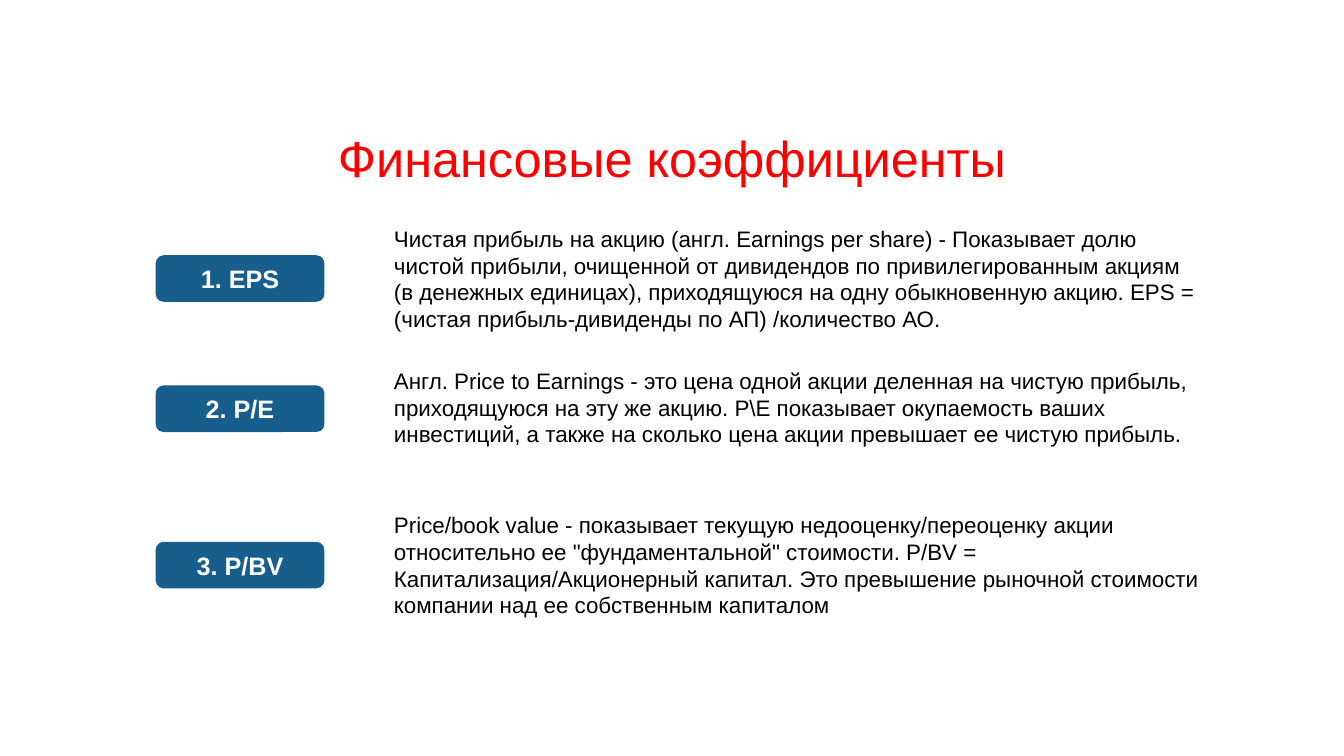
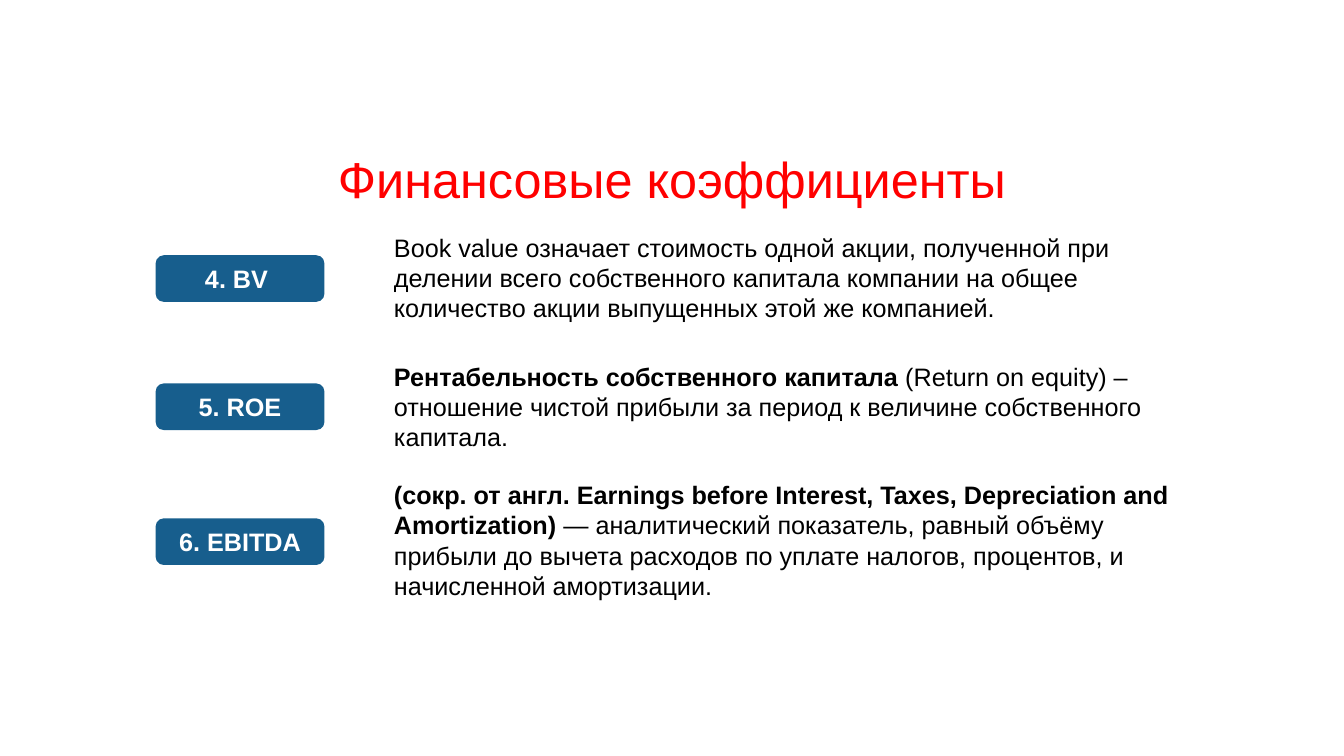
from dataclasses import dataclass

import pptx
import pptx.dml.color
import pptx.enum.shapes
import pptx.enum.text
import pptx.util
from pptx.util import Cm

FONT = "Arial"
RED, BLUE, WHITE, BLACK = "FF0000", "175E8D", "FFFFFF", "000000"
TITLE_ONLY = 5
HEADING = "Финансовые коэффициенты"

# Columns shared by all rows, in centimetres
BADGE_LEFT, BADGE_WIDTH, BADGE_HEIGHT = 3.94, 4.22, 1.14
TEXT_LEFT, TEXT_WIDTH = 9.68, 20.85
INSET = 0.13


@dataclass(frozen=True)
class Ratio:
    label: str
    badge_top: float
    text_top: float
    text_height: float
    definition: str
    term: str = ""  # bold opening of the definition


@dataclass(frozen=True)
class Page:
    title_top: float
    text_size: int
    ratios: tuple[Ratio, ...]


PAGES = (
    Page(3.25, 16, (
        Ratio("1. EPS", 6.45, 5.54, 3.0,
              "Чистая прибыль на акцию (англ. Earnings per share) - Показывает долю "
              "чистой прибыли, очищенной от дивидендов по привилегированным акциям "
              "(в денежных единицах), приходящуюся на одну обыкновенную акцию. EPS = "
              "(чистая прибыль-дивиденды по АП) /количество АО."),
        Ratio("2. P/E", 9.73, 9.12, 2.31,
              "Англ. Price to Earnings - это цена одной акции деленная на чистую прибыль, "
              "приходящуюся на эту же акцию. Р\\Е показывает окупаемость ваших "
              "инвестиций, а также на сколько цена акции превышает ее чистую прибыль."),
        Ratio("3. P/BV", 13.67, 12.75, 3.0,
              "Price/book value - показывает текущую недооценку/переоценку акции "
              'относительно ее "фундаментальной" стоимости. P/BV = '
              "Капитализация/Акционерный капитал. Это превышение рыночной стоимости "
              "компании над ее собственным капиталом"),
    )),
    Page(3.76, 18, (
        Ratio("4. BV ", 6.45, 5.72, 2.57,
              "Book value означает стоимость одной акции, полученной при "
              "делении всего собственного капитала компании на общее "
              "количество акции выпущенных этой же компанией."),
        Ratio("5. ROE", 9.68, 8.97, 2.57,
              " (Return on equity) – отношение чистой прибыли за период "
              "к величине собственного капитала.",
              term="Рентабельность собственного капитала"),
        Ratio("6. EBITDA", 13.08, 11.96, 3.33,
              " — аналитический показатель, равный объёму прибыли до вычета "
              "расходов по уплате налогов, процентов, и начисленной амортизации.",
              term="(сокр. от англ. Earnings before Interest, Taxes, "
                   "Depreciation and Amortization)"),
    )),
)


def color(value: str) -> pptx.dml.color.RGBColor:
    return pptx.dml.color.RGBColor.from_string(value)


def style(paragraph, size: int, ink: str) -> None:
    paragraph.font.name = FONT
    paragraph.font.size = pptx.util.Pt(size)
    paragraph.font.color.rgb = color(ink)


def center_in_frame(frame) -> None:
    """Wrap and centre the text both ways with narrow, equal margins."""
    frame.word_wrap = True
    frame.auto_size = pptx.enum.text.MSO_AUTO_SIZE.NONE
    frame.vertical_anchor = pptx.enum.text.MSO_ANCHOR.MIDDLE
    frame.margin_left = frame.margin_right = Cm(INSET)
    frame.margin_top = frame.margin_bottom = Cm(INSET)
    frame.paragraphs[0].alignment = pptx.enum.text.PP_ALIGN.CENTER


def add_heading(slide, top: float) -> None:
    heading = slide.shapes.title
    heading.left, heading.top = Cm(4.14), Cm(top)
    heading.width, heading.height = Cm(25.6), Cm(1.73)
    heading.text_frame.text = HEADING
    center_in_frame(heading.text_frame)
    paragraph = heading.text_frame.paragraphs[0]
    paragraph.line_spacing = 0.8
    style(paragraph, 36, RED)


def add_ratio(slide, ratio: Ratio, text_size: int) -> None:
    row = slide.shapes.add_group_shape()

    # Badge with the short name
    badge = row.shapes.add_shape(
        pptx.enum.shapes.MSO_SHAPE.ROUNDED_RECTANGLE,
        Cm(BADGE_LEFT), Cm(ratio.badge_top), Cm(BADGE_WIDTH), Cm(BADGE_HEIGHT))
    badge.shadow.inherit = False
    badge.fill.solid()
    badge.fill.fore_color.rgb = color(BLUE)
    badge.line.color.rgb = color(BLUE)
    badge.line.width = pptx.util.Pt(1)
    badge.text_frame.text = ratio.label
    center_in_frame(badge.text_frame)
    label = badge.text_frame.paragraphs[0]
    style(label, 18, WHITE)
    label.font.bold = True

    # Definition beside it
    definition = row.shapes.add_textbox(
        Cm(TEXT_LEFT), Cm(ratio.text_top), Cm(TEXT_WIDTH), Cm(ratio.text_height))
    definition.text_frame.word_wrap = True
    paragraph = definition.text_frame.paragraphs[0]
    style(paragraph, text_size, BLACK)
    if ratio.term:
        term = paragraph.add_run()
        term.text = ratio.term
        term.font.bold = True
    paragraph.add_run().text = ratio.definition


def main() -> None:
    deck = pptx.Presentation()
    deck.slide_width, deck.slide_height = Cm(33.87), Cm(19.05)
    for page in PAGES:
        slide = deck.slides.add_slide(deck.slide_layouts[TITLE_ONLY])
        add_heading(slide, page.title_top)
        for ratio in page.ratios:
            add_ratio(slide, ratio, page.text_size)
    deck.save("out.pptx")


if __name__ == "__main__":
    main()
